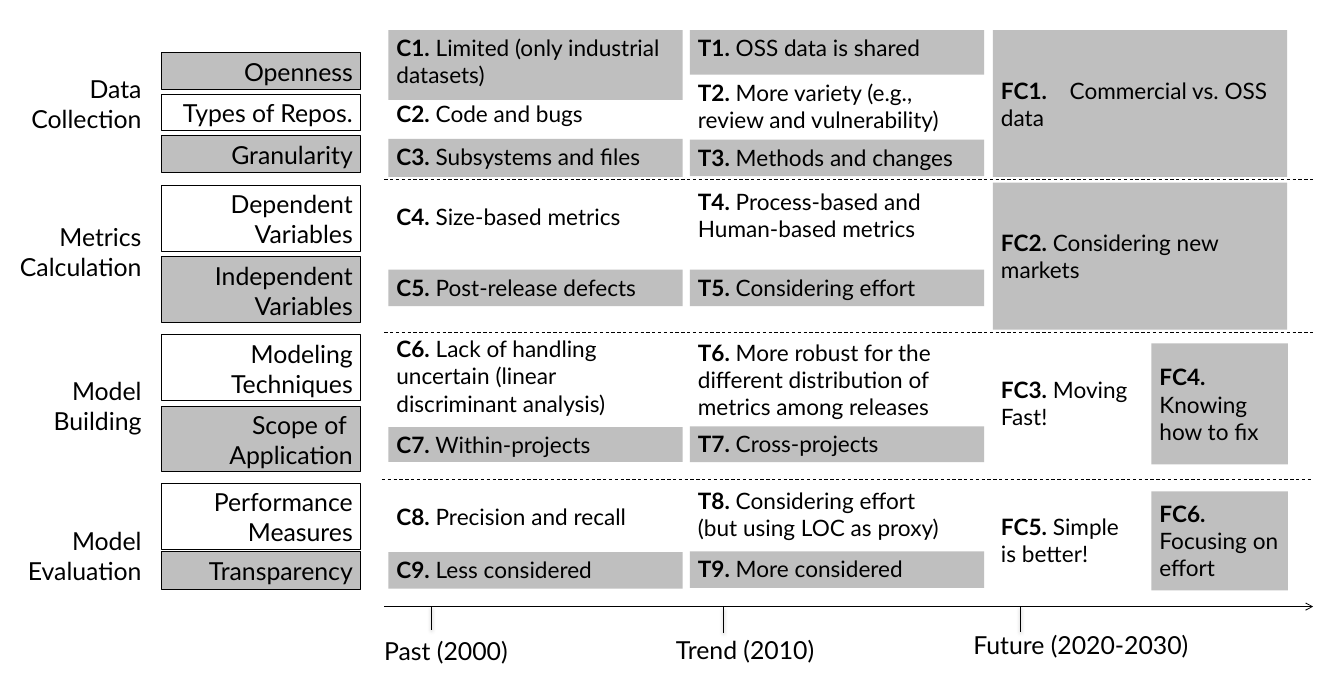
"""Build a slide that maps defect prediction stages over time."""
from lxml.etree import SubElement as Sub
from pptx import Presentation
from pptx.dml.color import RGBColor as Rgb
from pptx.enum.dml import MSO_LINE as Dash
from pptx.enum.shapes import MSO_CONNECTOR as Conn, MSO_SHAPE as Shape
from pptx.enum.text import MSO_ANCHOR as Anchor, PP_ALIGN as Align
from pptx.oxml.ns import qn
from pptx.util import Pt

PX = 9144
FONT = "Lato"
COLOR = {"ink": "000000", "grey": "BFBFBF"}
WIDE = 362
LEFT = {"C": 478, "T": 849}

TIMES = [
    (463, 778, 195, "Past (2000)"),
    (822, 777, 215, "Trend (2010)"),
    (1188, 771, 315, "Future (2020-2030)"),
]
TICKS = [(531, 747, 776), (1256, 747, 778), (890, 748, 779)]
RULES = [(473, 221), (473, 409), (470, 591)]
STAGES = [
    (86, "Data\nCollection"),
    (268, "Metrics\nCalculation"),
    (458, "Model\nBuilding"),
    (643, "Model\nEvaluation"),
]
TOPICS = [
    (65, 45, "Openness"),
    (116, 45, "Types of Repos."),
    (167, 45, "Granularity"),
    (228, 81, "Dependent\nVariables"),
    (316, 81, "Independent\nVariables"),
    (412, 81, "Modeling\nTechniques"),
    (500, 81, "Scope of \nApplication"),
    (595, 81, "Performance\nMeasures"),
    (679, 47, "Transparency"),
]
FINDS = {
    "C": [
        (37, 86, " Limited (only industrial datasets)"),
        (118, 45, " Code and bugs"),
        (171, 47, " Subsystems and files"),
        (245, 45, " Size-based metrics"),
        (332, 45, " Post-release defects"),
        (408, 81, " Lack of handling uncertain (linear discriminant analysis)"),
        (526, 43, " Within-projects"),
        (614, 45, " Precision and recall"),
        (680, 45, " Less considered"),
    ],
    "T": [
        (37, 55, " OSS data is shared"),
        (92, 86, " More variety (e.g., review and vulnerability)"),
        (172, 45, " Methods and changes"),
        (226, 84, " Process-based and Human-based metrics"),
        (332, 45, " Considering effort"),
        (412, 81, " More robust for the different distribution of metrics among releases"),
        (525, 44, " Cross-projects"),
        (595, 81, " Considering effort\n(but using LOC as proxy)"),
        (679, 45, " More considered"),
    ],
}
FUTURE = [
    (1222, 37, WIDE, 181, "grey", "　Commercial vs. OSS data"),
    (1222, 225, WIDE, 181, "grey", " Considering new \nmarkets"),
    (1222, 423, 195, 146, None, " Moving Fast!"),
    (1417, 423, 168, 149, "grey", " Knowing how to fix"),
    (1222, 605, 181, 119, None, " Simple is better!"),
    (1417, 605, 168, 122, "grey", " Focusing on effort"),
]


def rgb(name):
    """Return a named colour."""
    return Rgb.from_string(COLOR[name])


def write(shape, text, head="", size=22, align=Align.LEFT, anchor=Anchor.TOP, wrap=True):
    """Put text with an optional bold head into a shape."""
    frame = shape.text_frame
    frame.word_wrap = wrap
    frame.vertical_anchor = anchor
    para = frame.paragraphs[0]
    para.alignment = align

    def add(part, bold):
        """Add one run."""
        run = para.add_run()
        run.text = part
        font = run.font
        font.name, font.size, font.bold = FONT, Pt(size), bold
        font.color.rgb = rgb("ink")

    if head:
        add(head, True)
    for row, part in enumerate(text.split("\n")):
        if row:
            para.add_line_break()
        add(part, False)


def label(slide, box, text, **style):
    """Add a text box."""
    shape = slide.shapes.add_textbox(*(n * PX for n in box))
    write(shape, text, **style)


def block(slide, box, text, fill=None, edge=False, **style):
    """Add a rectangle with text."""
    shape = slide.shapes.add_shape(Shape.RECTANGLE, *(n * PX for n in box))
    shape.shadow.inherit = False
    if fill:
        shape.fill.solid()
        shape.fill.fore_color.rgb = rgb(fill)
    else:
        shape.fill.background()
    if edge:
        shape.line.color.rgb = rgb("ink")
        shape.line.width = Pt(0.5)
    else:
        shape.line.fill.background()
    write(shape, text, **style)


def rule(slide, ends, dash=False, arrow=False, shade=False):
    """Add a thin straight line."""
    line = slide.shapes.add_connector(Conn.STRAIGHT, *(n * PX for n in ends))
    line.line.color.rgb = rgb("ink")
    line.line.width = Pt(0.75)
    if dash:
        line.line.dash_style = Dash.DASH
    if arrow:
        Sub(line.line._get_or_add_ln(), qn("a:tailEnd"), type="arrow")
    glow = Sub(line._element.spPr, qn("a:effectLst"))
    if shade:
        drop = Sub(glow, qn("a:outerShdw"), blurRad=str(Pt(3.1)),
                   dist=str(Pt(1.6)), dir="5400000", rotWithShape="0")
        tint = Sub(drop, qn("a:srgbClr"), val=COLOR["ink"])
        Sub(tint, qn("a:alpha"), val="38000")


def axis(slide):
    """Draw the time axis and the row rules."""
    rule(slide, (473, 747, 1616, 747), arrow=True)
    for x, top, end in TICKS:
        rule(slide, (x, top, x, end), shade=True)
    for x, y, wide, text in TIMES:
        label(slide, (x, y, wide, 45), text, wrap=False)
    for x, y in RULES:
        rule(slide, (x, y, 1616, y), dash=True)


def main():
    """Build and save the slide."""
    deck = Presentation()
    deck.slide_width, deck.slide_height = 1654 * PX, 830 * PX
    slide = deck.slides.add_slide(deck.slide_layouts[6])
    axis(slide)
    for y, text in STAGES:
        label(slide, (10, y, 174, 81), text, align=Align.RIGHT, wrap=False)
    for row, (y, high, text) in enumerate(TOPICS):
        fill = None if row % 2 else "grey"
        block(slide, (199, y, 245, high), text, fill, edge=True, align=Align.RIGHT)
    for key, cells in FINDS.items():
        for num, (y, high, text) in enumerate(cells, 1):
            box = (LEFT[key], y, WIDE, high)
            style = {"head": f"{key}{num}.", "size": 20}
            if num % 2:
                block(slide, box, text, "grey", **style)
            else:
                label(slide, box, text, **style)
    for num, (*box, fill, text) in enumerate(FUTURE, 1):
        style = {"head": f"FC{num}.", "size": 20, "anchor": Anchor.MIDDLE}
        if fill:
            block(slide, box, text, fill, **style)
        else:
            label(slide, box, text, **style)
    deck.save("out.pptx")


if __name__ == "__main__":
    main()
